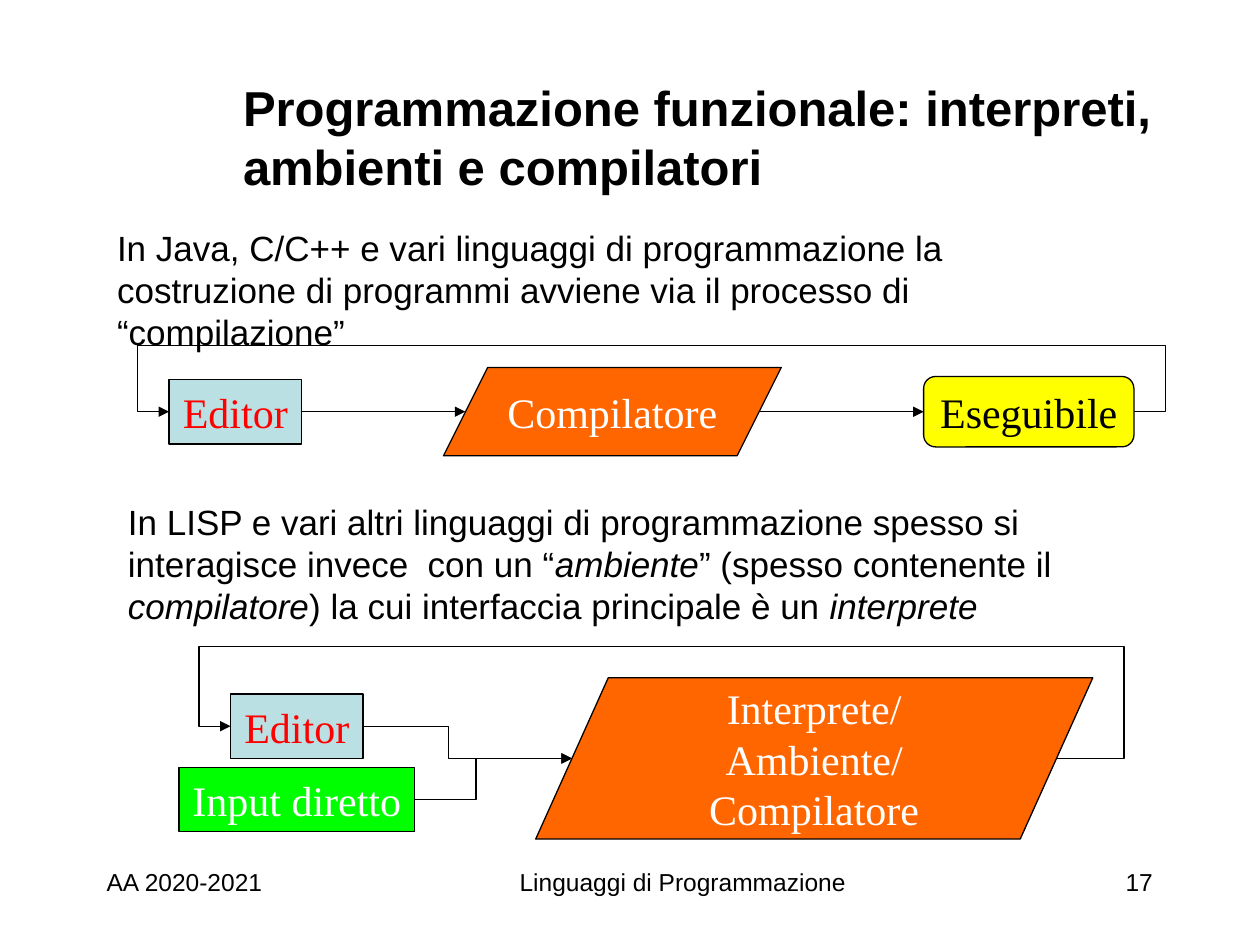
from lxml import etree
from pptx import Presentation
from pptx.dml.color import RGBColor
from pptx.enum.shapes import MSO_CONNECTOR, MSO_SHAPE
from pptx.enum.text import MSO_ANCHOR, PP_ALIGN
from pptx.oxml.ns import qn
from pptx.util import Cm, Pt

prs = Presentation()
prs.slide_width, prs.slide_height = Cm(25.4), Cm(19.05)
slide = prs.slides.add_slide(prs.slide_layouts[6])
shapes = slide.shapes


def color(hex_code):
    return RGBColor.from_string(hex_code)


def write(frame, runs, size, font="Arial", ink="000000", bold=False,
          align=PP_ALIGN.LEFT, anchor=MSO_ANCHOR.TOP):
    """Fill a frame with one paragraph of (text, italic) runs."""
    frame.word_wrap = True
    frame.vertical_anchor = anchor
    paragraph = frame.paragraphs[0]
    paragraph.alignment = align
    for text, italic in runs:
        for i, line in enumerate(text.split("\n")):
            if i:
                paragraph.add_line_break()
            run = paragraph.add_run()
            run.text = line
            run.font.name, run.font.size = font, Pt(size)
            run.font.bold, run.font.italic = bold, italic
            run.font.color.rgb = color(ink)


def text_box(left, top, width, height, runs, size, **style):
    box = shapes.add_textbox(Cm(left), Cm(top), Cm(width), Cm(height))
    write(box.text_frame, runs, size, **style)


def node(kind, left, middle, width, height, text, fill, ink, adj=None):
    """Draw a flow step centred vertically on middle."""
    shape = shapes.add_shape(kind, Cm(left), Cm(middle - height / 2), Cm(width), Cm(height))
    shape.shadow.inherit = False
    if adj is not None:
        shape.adjustments[0] = adj
    shape.fill.solid()
    shape.fill.fore_color.rgb = color(fill)
    shape.line.color.rgb = color("000000")
    shape.line.width = Pt(0.75)
    write(shape.text_frame, [(text, False)], 24, font="Times New Roman", ink=ink,
          align=PP_ALIGN.CENTER, anchor=MSO_ANCHOR.MIDDLE)
    if kind != MSO_SHAPE.PARALLELOGRAM:
        shape.text_frame.word_wrap = False


def arrow_line(shape):
    shape.line.color.rgb = color("000000")
    shape.line.width = Pt(0.75)
    etree.SubElement(shape.line._get_or_add_ln(), qn("a:tailEnd"), type="triangle")


def arrow(x1, y1, x2, y2, bend=None):
    """Straight arrow, or an elbow that turns at the fraction bend."""
    kind = MSO_CONNECTOR.STRAIGHT if bend is None else MSO_CONNECTOR.ELBOW
    link = shapes.add_connector(kind, Cm(x1), Cm(y1), Cm(x2), Cm(y2))
    arrow_line(link)
    etree.SubElement(link._element.spPr, qn("a:effectLst"))
    if bend is not None:
        guides = link._element.spPr.find(qn("a:prstGeom")).get_or_add_avLst()
        etree.SubElement(guides, qn("a:gd"), name="adj1", fmla=f"val {round(bend * 100000)}")


def return_loop(left, top, right, start, end):
    """Arrow from start, over the top of the flow, back to end."""
    points = [start, (right, start[1]), (right, top), (left, top), (left, end[1]), end]
    points = [(Cm(x), Cm(y)) for x, y in points]
    builder = shapes.build_freeform(*points[0])
    builder.add_line_segments(points[1:], close=False)
    loop = builder.convert_to_shape()
    loop.fill.background()
    loop.shadow.inherit = False
    arrow_line(loop)


EDITOR_W, BOX_H, MARGIN = 2.67, 1.3, 0.64


def editor(left, middle):
    node(MSO_SHAPE.RECTANGLE, left, middle, EDITOR_W, BOX_H, "Editor", "BBE0E3", "FF0000")


def compile_flow(left, top, width):
    axis = top + 1.34
    first, last = left + MARGIN, left + width - MARGIN
    compiler, compiler_w, slant = left + 6.17, 6.81, 0.44
    program_w = 4.24
    editor(first, axis)
    node(MSO_SHAPE.PARALLELOGRAM, compiler, axis, compiler_w, 1.78,
         "Compilatore", "FF6600", "FFFFFF", 0.5)
    node(MSO_SHAPE.ROUNDED_RECTANGLE, last - program_w, axis, program_w, 1.42,
         "Eseguibile", "FFFF00", "000000", 0.17)
    arrow(first + EDITOR_W, axis, compiler + slant, axis)
    arrow(compiler + compiler_w - slant, axis, last - program_w, axis)
    return_loop(left, top, left + width, (last, axis), (first, axis))


def environment_flow(left, top, width):
    editor_y, axis, input_y = top + 1.61, top + 2.26, top + 3.09
    first = left + MARGIN
    interpreter, interpreter_w, slant = left + 6.79, 11.23, 0.73
    input_x, input_w = left - 0.4, 4.75
    editor(first, editor_y)
    node(MSO_SHAPE.PARALLELOGRAM, interpreter, axis, interpreter_w, 3.25,
         "Interprete/\nAmbiente/\nCompilatore", "FF6600", "FFFFFF", 0.45)
    node(MSO_SHAPE.RECTANGLE, input_x, input_y, input_w, BOX_H,
         "Input diretto", "00FF00", "FFFFFF")
    arrow(first + EDITOR_W, editor_y, interpreter + slant, axis, 0.41)
    arrow(input_x + input_w, input_y, interpreter + slant, axis, 0.39)
    return_loop(left, top, left + width,
                (interpreter + interpreter_w - slant, axis), (first, editor_y))


def footer(top, height):
    for left, width, text, align in [
        (1.9, 6.35, "AA 2020-2021", PP_ALIGN.LEFT),
        (8.05, 11.43, "Linguaggi di Programmazione", PP_ALIGN.CENTER),
        (18.41, 5.08, "17", PP_ALIGN.RIGHT),
    ]:
        text_box(left, top, width, height, [(text, False)], 14, align=align)


# Title
text_box(4.65, 1.7, 18.85, 2.11,
         [("Programmazione funzionale: interpreti, ambienti e compilatori", False)],
         28, bold=True, anchor=MSO_ANCHOR.MIDDLE)

# Compilation
text_box(2.11, 4.45, 20.95, 1.96,
         [("In Java, C/C++ e vari linguaggi di programmazione la costruzione di "
           "programmi avviene via il processo di “compilazione” ", False)], 20)
compile_flow(2.77, 6.96, 20.73)

# Interactive environment
text_box(2.33, 9.96, 20.52, 2.79, [
    ("In LISP e vari altri linguaggi di programmazione spesso si "
     "interagisce invece  con un “", False),
    ("ambiente", True),
    ("” (spesso contenente il ", False),
    ("compilatore", True),
    (") la cui interfaccia principale è un ", False),
    ("interprete", True),
], 20)
environment_flow(4.01, 13.03, 18.65)

# Footer
footer(17.35, 1.27)

prs.save("out.pptx")
